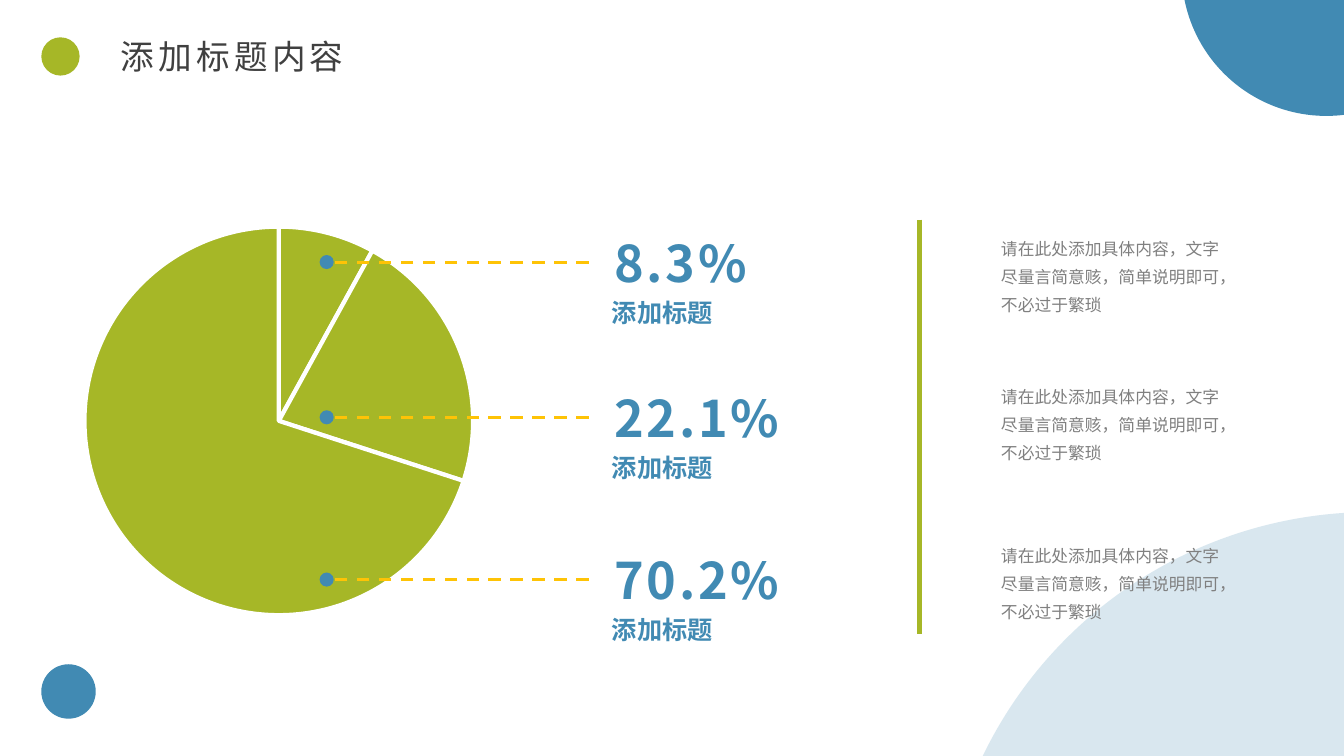
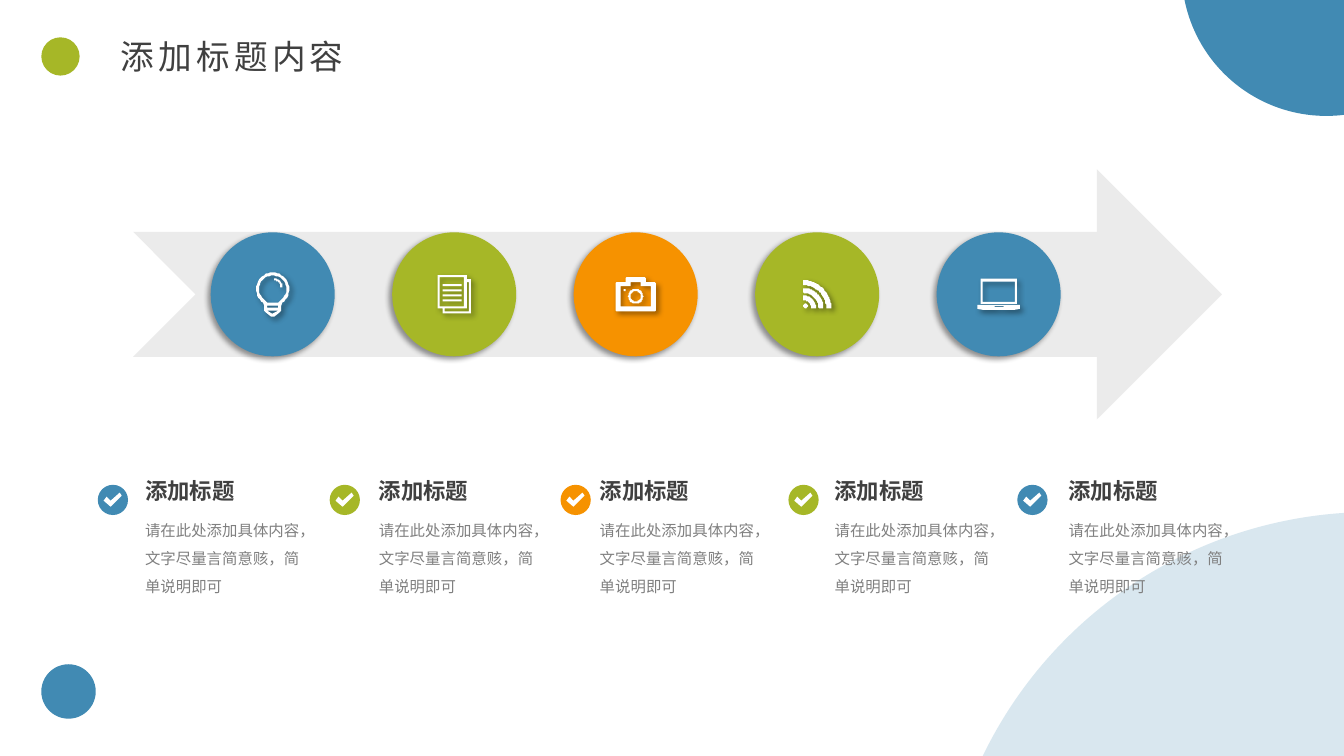
from math import cos, radians, sin

from lxml import etree
from pptx import Presentation
from pptx.chart.data import CategoryChartData
from pptx.dml.color import RGBColor
from pptx.enum.chart import XL_CHART_TYPE
from pptx.enum.dml import MSO_LINE
from pptx.enum.shapes import MSO_CONNECTOR, MSO_SHAPE
from pptx.enum.text import MSO_ANCHOR, MSO_AUTO_SIZE, PP_ALIGN
from pptx.oxml import parse_xml
from pptx.oxml.ns import nsdecls, qn
from pptx.util import Inches, Pt

OVAL = MSO_SHAPE.OVAL
DISC = MSO_SHAPE.FLOWCHART_CONNECTOR
ARROW = MSO_SHAPE.NOTCHED_RIGHT_ARROW
STRAIGHT = MSO_CONNECTOR.STRAIGHT
PIE = XL_CHART_TYPE.PIE
DASH = MSO_LINE.DASH
LEFT = PP_ALIGN.LEFT
TOP, MIDDLE = MSO_ANCHOR.TOP, MSO_ANCHOR.MIDDLE
FIXED = MSO_AUTO_SIZE.NONE

FACE = "Noto Sans CJK SC"
COLORS = {
    "blue": "418AB3", "green": "A6B727", "orange": "F69200",
    "yellow": "FEC306", "dark": "404040", "gray": "808080",
    "pale": "D9D9D9", "white": "FFFFFF", "black": "000000",
}
# Each style: font values, colour, letter spacing and line spacing in points
STYLES = {
    "title": ({"size": Pt(24), "bold": False}, "dark", 3, None),
    "figure": ({"size": Pt(36), "bold": True}, "blue", 2, None),
    "label": ({"size": Pt(18), "bold": True}, "blue", 0, None),
    "note": ({"size": Pt(12), "bold": False}, "gray", 0, 20),
    "head": ({"size": Pt(16), "bold": True}, "dark", 0, None),
    "detail": ({"size": Pt(11), "bold": False}, "gray", 0, 20),
}
DISCS = [
    (9.32, 5.08, 8.57, "blue", 20),
    (11.72, -1.72, 2.87, "blue", None),
    (0.41, 6.59, 0.54, "blue", None),
    (0.41, 0.37, 0.38, "green", None),
]
TITLE = "添加标题内容"
HEAD = "添加标题"
NOTE = "请在此处添加具体内容，文字尽量言简意赅，简单说明即可，不必过于繁琐"
DETAIL = "请在此处添加具体内容，文字尽量言简意赅，简单说明即可"
HUES = ["blue", "green", "orange", "green", "blue"]


def rgb(name):
    return RGBColor.from_string(COLORS[name])


def inches(box):
    return [Inches(n) for n in box]


# Outlines, in hundredths of an inch from the icon's top left

def arc(x, y, r, start=0, end=360):
    steps = 36
    turns = [radians(start + (end - start) * i / steps) for i in range(steps + 1)]
    return [(x + r * cos(t), y + r * sin(t)) for t in turns]


def band(x, y, r, inner, start=-90, end=0):
    return arc(x, y, r, start, end) + arc(x, y, inner, end, start)


def rect(x, y, w, h):
    return [(x, y), (x + w, y), (x + w, y + h), (x, y + h)]


BULB = [
    arc(16.5, 16.5, 16.5, 125, 415) + [
        (25, 33), (25, 38), (23, 40), (18, 43.5),
        (15, 43.5), (10, 40), (8, 38), (8, 33)],
    arc(16.5, 16.5, 13.5, 125, 415) + [(22, 30), (11, 30)],
    band(17.5, 15, 9, 7),
    rect(11, 33, 11, 2),
    [(11, 38), (22, 38), (16.5, 41)],
]
PAGES = [
    rect(0, 0, 29, 33),
    rect(2, 2, 24, 29),
    *[rect(5, 9 + 5 * i, 19, 2) for i in range(4)],
    [(29, 4), (33, 4), (33, 38), (5, 38), (5, 33),
     (7, 33), (7, 36), (31, 36), (31, 7), (29, 7)],
]
CAMERA = [
    [(1, 5), (10, 5), (10, 1), (11, 0), (29, 0), (30, 1), (30, 5), (39, 5),
     (40, 6), (40, 33), (39, 34), (1, 34), (0, 33), (0, 6)],
    [(5, 9), (15, 9), (15, 5), (25, 5), (25, 9), (35, 9), (35, 29), (5, 29)],
    arc(20, 19, 7.5),
    arc(20, 19, 5),
    arc(9, 13, 1),
]
SIGNAL = [band(0, 28, r, r - 5) for r in (28, 20.5, 13)] + [arc(2.5, 25.5, 2.3)]
LAPTOP = [
    rect(3, 0, 36, 25),
    rect(5, 3, 32, 20),
    [(0, 26), (42, 26), (42, 30), (36, 31), (6, 31), (0, 30)],
    rect(17, 27, 9, 1),
]
CHECK = [[(0, 7.5), (3, 4.5), (7, 8.5), (15.5, 0), (18.5, 3), (7, 14.5)]]


def paint(shape, hue, alpha=None):
    """Fill with one colour, without line or shadow; alpha is in percent."""
    shape.shadow.inherit = False
    shape.line.fill.background()
    shape.fill.solid()
    shape.fill.fore_color.rgb = rgb(hue)
    if alpha:
        tone = shape.fill._xPr.find(".//" + qn("a:srgbClr"))
        etree.SubElement(tone, qn("a:alpha"), val=str(alpha * 1000))
    return shape


def shade(shape, angle):
    effects = shape._element.spPr.find(qn("a:effectLst"))
    cast = etree.SubElement(
        effects, qn("a:outerShdw"), blurRad=str(Pt(4)), dist=str(Pt(3)),
        dir=str(angle * 60000), algn="ctr", rotWithShape="0")
    tone = etree.SubElement(cast, qn("a:srgbClr"), val=COLORS["black"])
    etree.SubElement(tone, qn("a:alpha"), val="40000")


def add(slide, kind, box, hue, alpha=None):
    return paint(slide.shapes.add_shape(kind, *inches(box)), hue, alpha)


def icon(slide, parts, x, y):
    """Draw white outlines centred on x, y; overlaps become holes."""
    w, h = (max(p[k] for part in parts for p in part) for k in (0, 1))
    pen = slide.shapes.build_freeform(*parts[0][0], scale=Inches(0.01))
    for i, part in enumerate(parts):
        if i:
            pen.move_to(*part[0])
        pen.add_line_segments(part[1:], close=True)
    return paint(pen.convert_to_shape(Inches(x - w / 200), Inches(y - h / 200)), "white")


def line(slide, ends, hue, width, dash=None):
    rule = slide.shapes.add_connector(STRAIGHT, *inches(ends))
    etree.SubElement(rule._element.spPr, qn("a:effectLst"))
    rule.line.color.rgb = rgb(hue)
    rule.line.width = Pt(width)
    if dash:
        rule.line.dash_style = dash


def write(frame, words, style, **extra):
    fonts, hue, gap, pitch = STYLES[style]
    look = {"word_wrap": True, "auto_size": FIXED, "vertical_anchor": TOP, **extra}
    for key, value in look.items():
        setattr(frame, key, value)
    para = frame.paragraphs[0]
    para.alignment = LEFT
    if pitch:
        para.line_spacing = Pt(pitch)
    run = para.add_run()
    run.text = words
    for key, value in {**fonts, "name": FACE}.items():
        setattr(run.font, key, value)
    run.font.color.rgb = rgb(hue)
    props = run.font._element
    etree.SubElement(props, qn("a:ea"), typeface=FACE)
    if gap:
        props.set("spc", str(gap * 100))


def text(slide, box, words, style, **extra):
    write(slide.shapes.add_textbox(*inches(box)).text_frame, words, style, **extra)


def base(deck):
    """Add a slide with the shared discs and title."""
    slide = deck.slides.add_slide(deck.slide_layouts[5])
    for x, y, size, hue, alpha in DISCS:
        add(slide, DISC, (x, y, size, size), hue, alpha)
    title = slide.shapes.title
    spots = inches((1.1, 0.31, 2.56, 0.5))
    for key, value in zip(("left", "top", "width", "height"), spots):
        setattr(title, key, value)
    write(title.text_frame, TITLE, "title", vertical_anchor=MIDDLE)
    return slide


def pie(slide, box):
    data = CategoryChartData()
    data.categories = ["1", "2", "3"]
    data.add_series("Series 1", (8, 22, 70))
    chart = slide.shapes.add_chart(PIE, *inches(box), data).chart
    chart.has_legend = chart.has_title = False
    chart.font.name, chart.font.size = FACE, Pt(10)
    chart.font.color.rgb = rgb("black")
    plot = chart.plots[0]
    plot.vary_by_categories = False
    for i in range(3):
        look = plot.series[0].points[i].format
        look.fill.solid()
        look.fill.fore_color.rgb = rgb("green")
        look.line.color.rgb = rgb("white")
        look.line.width = Pt(3)
    area = chart._chartSpace.find(".//" + qn("c:plotArea"))
    for old in area.findall(qn("c:layout")):
        area.remove(old)
    sizes = {"x": 0.04, "y": 0.05, "w": 0.92, "h": 0.91}
    marks = "".join(f'<c:{k} val="{v}"/>' for k, v in sizes.items())
    area.insert(0, parse_xml(
        f'<c:layout {nsdecls("c")}><c:manualLayout><c:layoutTarget val="inner"/>'
        f'<c:xMode val="edge"/><c:yMode val="edge"/>{marks}'
        '</c:manualLayout></c:layout>'))


def callout(slide, x, y, share):
    """Lead from a dot at x, y to a figure and its label."""
    add(slide, OVAL, (x, y - 0.07, 0.14, 0.14), "blue")
    line(slide, (x + 2.67, y, x + 0.15, y), "yellow", 2.25, DASH)
    flush = {f"margin_{side}": 0 for side in ("left", "right", "top", "bottom")}
    text(slide, (x + 2.92, y - 0.3, 2.52, 0.61), share, "figure", **flush)
    text(slide, (x + 2.8, y + 0.3, 1.76, 0.4), HEAD, "label")


def shares(deck):
    slide = base(deck)
    pie(slide, (0.67, 2.03, 4.19, 4.25))
    rows = [(2.6, "8.3%", 2.24), (4.14, "22.1%", 3.71), (5.75, "70.2%", 5.29)]
    for y, share, top in rows:
        callout(slide, 3.17, y, share)
        text(slide, (9.83, top, 2.47, 0.94), NOTE, "note")
    line(slide, (9.12, 2.18, 9.12, 6.29), "green", 3)


def flow(slide, x, y, w, h):
    """Draw the wide arrow with its row of icon discs."""
    add(slide, ARROW, (x, y, w, h), "pale", 50)
    size, step = 1.23, 1.8
    mid = y + h / 2
    for i, parts in enumerate((BULB, PAGES, CAMERA, SIGNAL, LAPTOP)):
        left = x + 0.77 + i * step
        shade(add(slide, OVAL, (left, mid - size / 2, size, size), HUES[i]), 135)
        shade(icon(slide, parts, left + size / 2, mid), 45)


def point(slide, mark, x, y, hue):
    """Place a check badge at mark and a headed text at x."""
    add(slide, OVAL, (mark, y + 0.13, 0.3, 0.3), hue)
    icon(slide, CHECK, mark + 0.15, y + 0.28)
    text(slide, (x, y, 1.19, 0.37), HEAD, "head")
    text(slide, (x, y + 0.35, 1.84, 0.94), DETAIL, "detail")


def steps(deck):
    slide = base(deck)
    flow(slide, 1.32, 1.68, 10.8, 2.48)
    marks = (0.97, 3.27, 5.56, 7.82, 10.09)
    lefts = (1.34, 3.66, 5.85, 8.18, 10.5)
    for mark, x, hue in zip(marks, lefts, HUES):
        point(slide, mark, x, 4.68, hue)


def main():
    deck = Presentation()
    deck.slide_width, deck.slide_height = Inches(13.33), Inches(7.5)
    shares(deck)
    steps(deck)
    deck.save("out.pptx")


if __name__ == "__main__":
    main()
